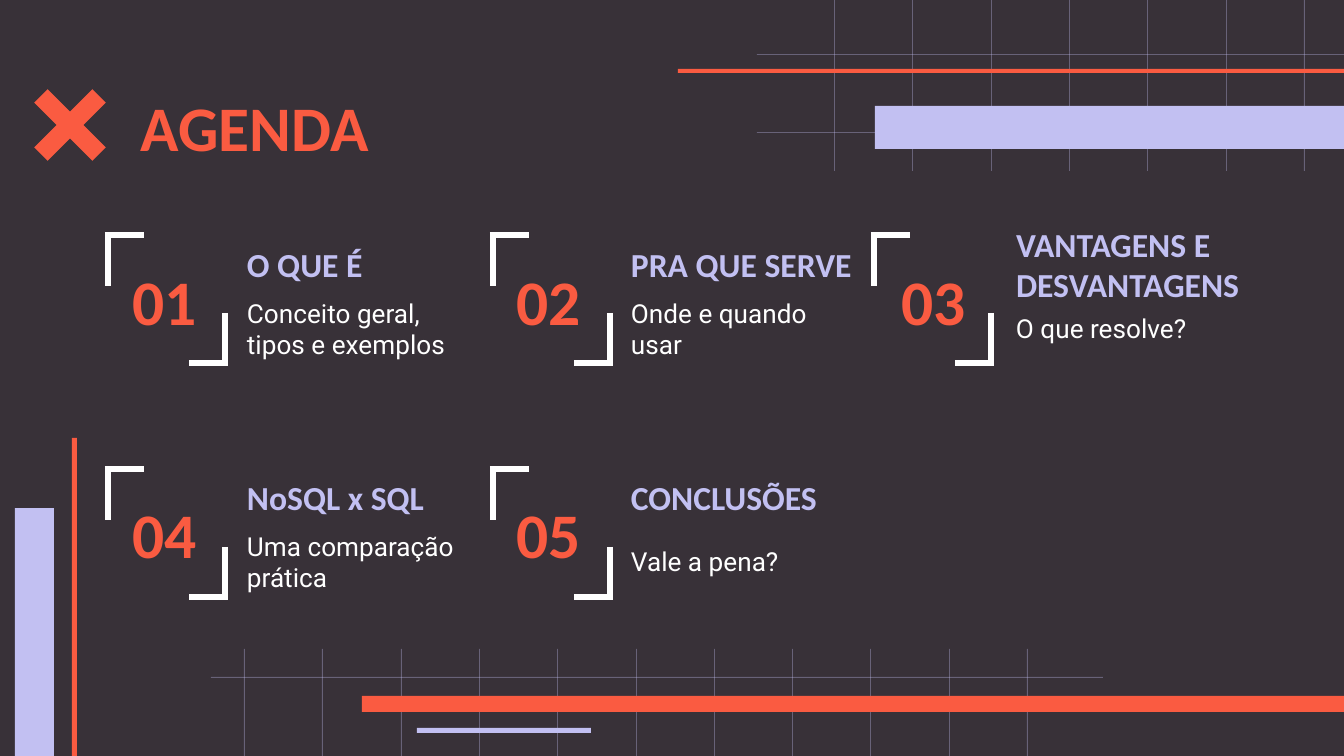
"""Build the agenda slide with five numbered topics."""
from typing import NamedTuple

from lxml.etree import SubElement
from pptx import Presentation
from pptx.dml.color import RGBColor as Rgb
from pptx.enum.shapes import MSO_CONNECTOR as Link, MSO_SHAPE as Form
from pptx.enum.text import MSO_ANCHOR as Anchor, PP_ALIGN as Align
from pptx.oxml.ns import qn
from pptx.util import Emu, Pt

SCALE = 914400 / 134.4
WIDE, HIGH = 1344, 756
INSET = 13
GAP = 78.3

DARK = Rgb(0x38, 0x31, 0x38)
CORAL = Rgb(0xFA, 0x5B, 0x41)
LILAC = Rgb(0xC2, 0xC0, 0xF2)
WHITE = Rgb(0xFF, 0xFF, 0xFF)


class Box(NamedTuple):
    left: int
    top: int
    width: int
    height: int


class Style(NamedTuple):
    font: str
    size: int
    color: Rgb
    bold: bool = True
    align: Align = Align.LEFT


class Bar(NamedTuple):
    box: Box
    color: Rgb


class Grid(NamedTuple):
    left: int
    top: int
    height: int
    count: int
    rows: list[Box]


class Topic(NamedTuple):
    col: int
    row: int
    head: str
    note: str
    width: int = 257


TITLE = Style("Calibri", 34, CORAL)
COUNT = Style("Calibri", 34, CORAL, align=Align.CENTER)
HEAD = Style("Calibri", 18, LILAC)
NOTE = Style("Roboto", 14, WHITE, bold=False)

GRIDS = [
    Grid(834, 0, 171, 7, [Box(757, 54, 587, 1), Box(757, 132, 587, 1)]),
    Grid(244, 649, 107, 11, [Box(211, 677, 892, 1)]),
]
BARS = [
    Bar(Box(362, 696, 982, 16), CORAL),
    Bar(Box(15, 508, 39, 248), LILAC),
    Bar(Box(72, 438, 5, 318), CORAL),
    Bar(Box(417, 728, 174, 5), LILAC),
    Bar(Box(875, 106, 469, 43), LILAC),
    Bar(Box(678, 69, 666, 4), CORAL),
]
TOPICS = [
    Topic(0, 0, "O QUE É", "Conceito geral, tipos e exemplos", 236),
    Topic(1, 0, "PRA QUE SERVE", "Onde e quando usar"),
    Topic(2, 0, "VANTAGENS E DESVANTAGENS", "O que resolve?"),
    Topic(0, 1, "NoSQL x SQL", "Uma comparação prática"),
    Topic(1, 1, "CONCLUSÕES", "Vale a pena?", 236),
]
TEXT_X = [234, 618, 1003]
FRAME_X = [105, 490, 871]
FRAME = [(3, 51, 3, 0), (0, 0, 39, 0), (120, 78, 120, 128), (123, 128, 84, 128)]


def px(size: float) -> Emu:
    return Emu(round(size * SCALE))


def draw_form(slide, box: Box, color: Rgb, form: Form = Form.RECTANGLE):
    shape = slide.shapes.add_shape(form, *map(px, box))
    shape.shadow.inherit = False
    shape.fill.solid()
    shape.fill.fore_color.rgb = color
    shape.line.fill.background()
    return shape


def draw_hair(slide, box: Box) -> None:
    shape = draw_form(slide, box, LILAC)
    tint = shape._element.spPr.find(qn("a:solidFill")).find(qn("a:srgbClr"))
    SubElement(tint, qn("a:alpha"), val="35000")


def draw_grid(slide, grid: Grid) -> None:
    for i in range(grid.count):
        draw_hair(slide, Box(grid.left + round(GAP * i), grid.top, 1, grid.height))
    for row in grid.rows:
        draw_hair(slide, row)


def draw_text(slide, box: Box, text: str, style: Style) -> None:
    frame = slide.shapes.add_textbox(*map(px, box)).text_frame
    frame.word_wrap = True
    frame.vertical_anchor = Anchor.MIDDLE
    frame.margin_left = frame.margin_right = px(INSET)
    frame.margin_top = frame.margin_bottom = px(INSET)
    line = frame.paragraphs[0]
    line.text = text
    line.alignment = style.align
    line.font.name = style.font
    line.font.size = Pt(style.size)
    line.font.bold = style.bold
    line.font.color.rgb = style.color


def draw_line(slide, x1: int, y1: int, x2: int, y2: int) -> None:
    line = slide.shapes.add_connector(Link.STRAIGHT, px(x1), px(y1), px(x2), px(y2))
    line.line.color.rgb = WHITE
    line.line.width = Pt(3)
    SubElement(line._element.spPr, qn("a:effectLst"))


def draw_topic(slide, rank: int, topic: Topic) -> None:
    left, top = TEXT_X[topic.col], 235 + 233 * topic.row
    draw_text(slide, Box(left, top, topic.width, 58), topic.head, HEAD)
    draw_text(slide, Box(left - 128, top + 36, 118, 58), f"{rank:02}", COUNT)
    draw_text(slide, Box(left, top + 58, 236, 71), topic.note, NOTE)
    x, y = FRAME_X[topic.col], 235 + 234 * topic.row
    for x1, y1, x2, y2 in FRAME:
        draw_line(slide, x + x1, y + y1, x + x2, y + y2)


def main() -> None:
    deck = Presentation()
    deck.slide_width, deck.slide_height = px(WIDE), px(HIGH)
    slide = deck.slides.add_slide(deck.slide_layouts[6])
    slide.background.fill.solid()
    slide.background.fill.fore_color.rgb = DARK

    cross = draw_form(slide, Box(14, 69, 112, 112), CORAL, Form.MATH_MULTIPLY)
    cross.adjustments[0] = 0.17
    for grid in GRIDS:
        draw_grid(slide, grid)
    for bar in BARS:
        draw_form(slide, bar.box, bar.color)
    draw_text(slide, Box(128, 80, 1086, 92), "AGENDA", TITLE)
    for rank, topic in enumerate(TOPICS, 1):
        draw_topic(slide, rank, topic)
    deck.save("out.pptx")


if __name__ == "__main__":
    main()
